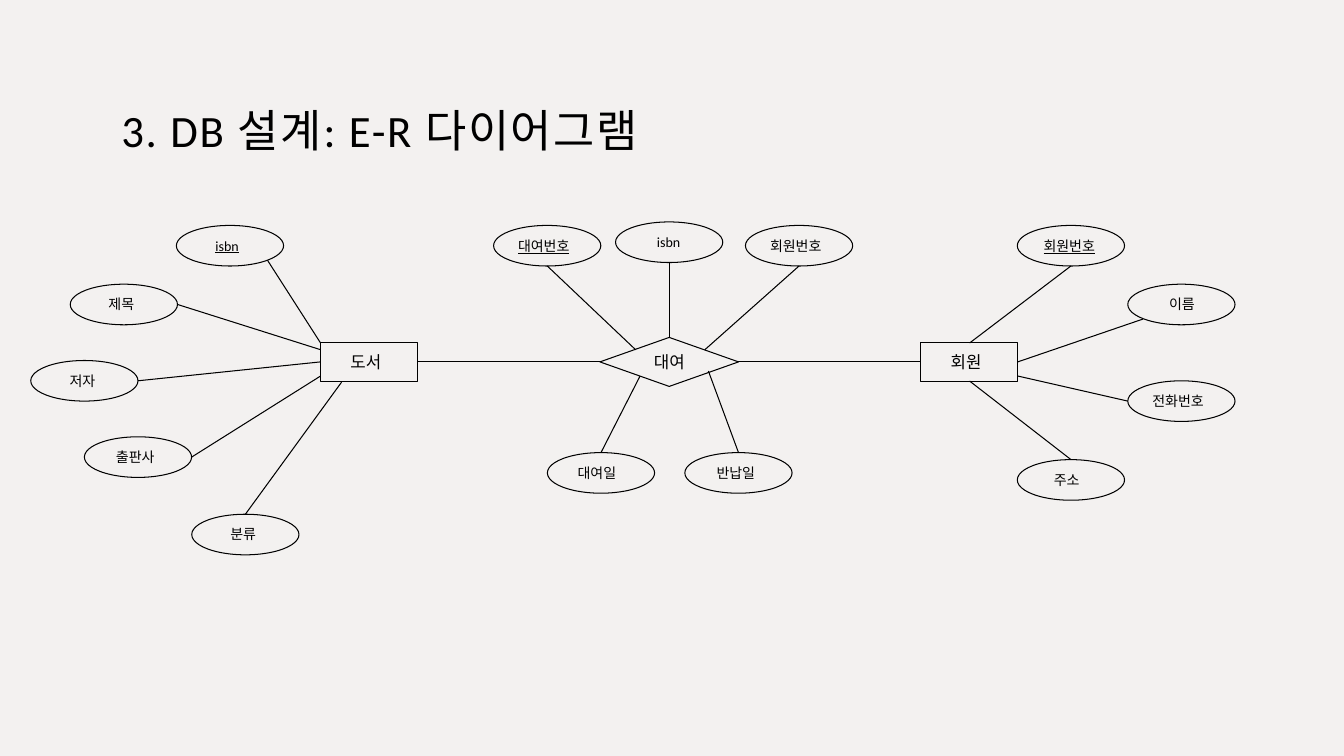
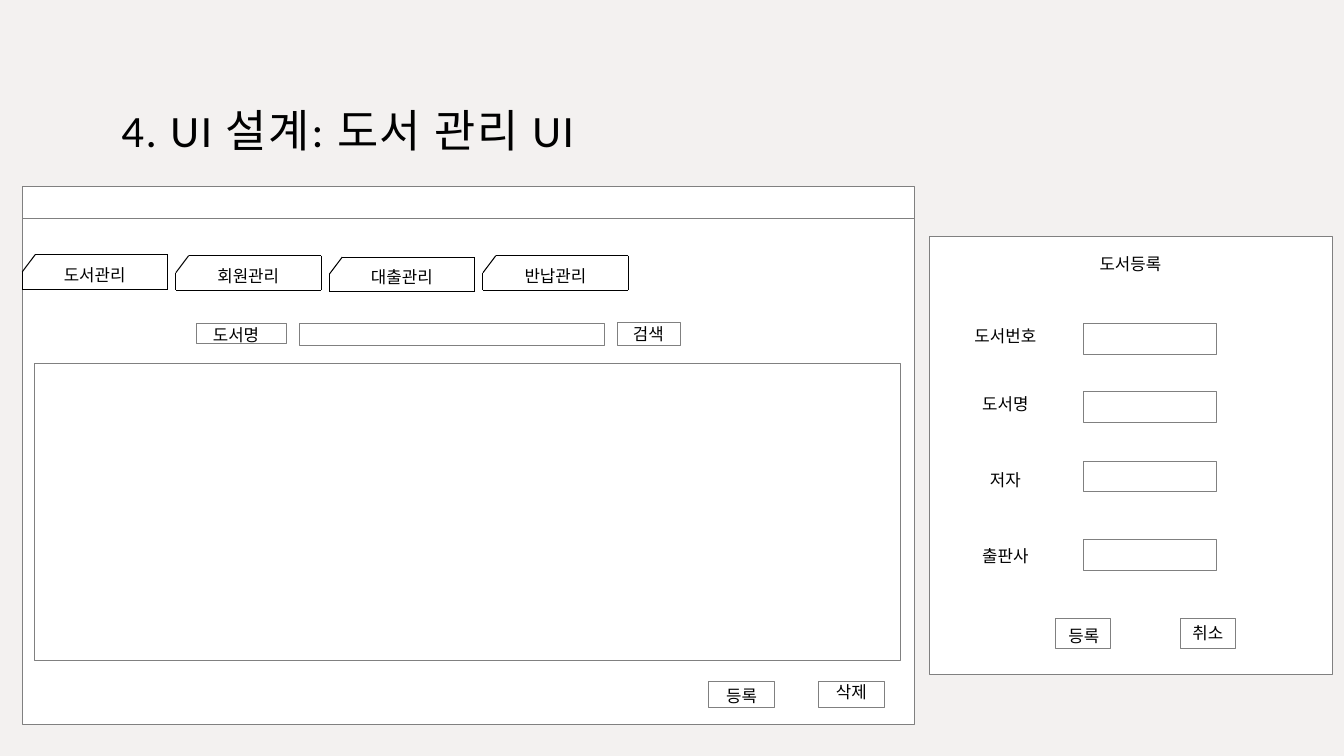
from lxml import etree
from pptx import Presentation
from pptx.dml.color import RGBColor
from pptx.enum.shapes import MSO_CONNECTOR, MSO_SHAPE
from pptx.enum.text import MSO_ANCHOR, MSO_AUTO_SIZE, PP_ALIGN
from pptx.oxml.ns import qn
from pptx.util import Pt

PAPER = RGBColor(0xF3, 0xF1, 0xF0)
WHITE = RGBColor(0xFF, 0xFF, 0xFF)
BLACK = RGBColor(0x00, 0x00, 0x00)
GRAY = RGBColor(0x80, 0x80, 0x80)

RECTANGLE = MSO_SHAPE.RECTANGLE
DIAMOND = MSO_SHAPE.DIAMOND
OVAL = MSO_SHAPE.OVAL
STRAIGHT = MSO_CONNECTOR.STRAIGHT
BOTTOM = MSO_ANCHOR.BOTTOM
GROW = MSO_AUTO_SIZE.SHAPE_TO_FIT_TEXT
LEFT = PP_ALIGN.LEFT
CENTER = PP_ALIGN.CENTER

FONT = "Calibri"
TITLE_FONT = {"name": FONT, "size": Pt(32), "bold": False}
TITLE_FRAME = {
    "vertical_anchor": BOTTOM,
    "margin_left": Pt(8.64),
    "margin_top": Pt(8.64),
    "margin_right": Pt(8.64),
    "margin_bottom": Pt(7.2),
}
TITLE_PLACE = {"left": Pt(78), "top": Pt(31), "width": Pt(804), "height": Pt(87.8)}
LABEL_HEIGHT = {10: 19.4, 12: 21.6}


def outline(item, color=BLACK, width=0.75, fill=None):
    """Give a shape or connector a plain line, no shadow and an optional fill."""
    item.line.color.rgb = color
    item.line.width = Pt(width)
    etree.SubElement(item._element.spPr, qn("a:effectLst"))
    if fill is not None:
        item.fill.solid()
        item.fill.fore_color.rgb = fill
    elif hasattr(item, "fill"):
        item.fill.background()


def add_label(shapes, text, left, top, width, size=12, align=LEFT, underline=None):
    """Add a one-line text box."""
    box = shapes.add_textbox(Pt(left), Pt(top), Pt(width), Pt(LABEL_HEIGHT[size]))
    box.text_frame.word_wrap = True
    box.text_frame.auto_size = GROW
    para = box.text_frame.paragraphs[0]
    para.alignment = align
    span = para.add_run()
    span.text = text
    span.font.color.rgb = BLACK
    formats = {"name": FONT, "size": Pt(size), "underline": underline}
    for name, value in formats.items():
        setattr(span.font, name, value)


deck = Presentation()
deck.slide_width = Pt(960)
deck.slide_height = Pt(540)
background = deck.slide_master.background.fill
background.solid()
background.fore_color.rgb = PAPER

# Pages and titles
pages = []
for heading in ("3. DB 설계: E-R 다이어그램", "4. UI 설계: 도서 관리 UI"):
    page = deck.slides.add_slide(deck.slide_layouts[5])
    title = page.shapes.title
    for name, value in TITLE_PLACE.items():
        setattr(title, name, value)
    for name, value in TITLE_FRAME.items():
        setattr(title.text_frame, name, value)
    para = title.text_frame.paragraphs[0]
    para.alignment = LEFT
    span = para.add_run()
    span.text = heading
    span.font.color.rgb = BLACK
    for name, value in TITLE_FONT.items():
        setattr(span.font, name, value)
    span.font._element.set("spc", "120")
    pages.append(page)
diagram_page, screen_page = pages

# E-R diagram: entities and the relationship between them
shapes = diagram_page.shapes
AXIS = 258.5
NODES = [
    ("도서", RECTANGLE, 228.8, 69.2, 27.4, 243.2),
    ("대여", DIAMOND, 428.5, 99, 35, 460),
    ("회원", RECTANGLE, 657.7, 69.2, 27.4, 672),
]
for text, kind, left, width, height, label_left in NODES:
    node = shapes.add_shape(
        kind, Pt(left), Pt(AXIS - height / 2), Pt(width), Pt(height))
    outline(node)
    add_label(shapes, text, label_left, AXIS - 10.8, 41)

for start, end in ((298, 428.5), (527.5, 657.7)):
    link = shapes.add_connector(STRAIGHT, Pt(start), Pt(AXIS), Pt(end), Pt(AXIS))
    outline(link)

# Attributes: text, is key, left, top, label inset, link start on the oval, link end
OVAL_WIDTH, OVAL_HEIGHT = 76.6, 29
ABOVE, BELOW, BEFORE, AFTER = (0.5, 0), (0.5, 1), (0, 0.5), (1, 0.5)
ATTRIBUTES = [
    ("isbn", True, 126, 161, 20.8, (0.85, 0.86), (229, 245)),
    ("제목", False, 50.2, 203, 20.2, AFTER, (229, 249.8)),
    ("저자", False, 22, 257.5, 20.7, AFTER, (229, 258.5)),
    ("출판사", False, 60.3, 312, 15.4, AFTER, (229, 268.6)),
    ("분류", False, 137, 367.3, 20.5, ABOVE, (244, 273)),
    ("대여번호", True, 352.6, 161, 10.4, BELOW, (454, 249.8)),
    ("isbn", False, 439.7, 158.5, 22.5, BELOW, (478, 241.2)),
    ("회원번호", False, 532.5, 161, 10.5, BELOW, (503.5, 249.8)),
    ("대여일", False, 391, 323.3, 14.5, ABOVE, (457.2, 268.6)),
    ("반납일", False, 489.2, 323.3, 15.5, ABOVE, (506, 265)),
    ("회원번호", True, 726.7, 161, 11.6, BELOW, (692.6, 245)),
    ("이름", False, 805.6, 203, 22.4, (0.14, 0.86), (727, 258.5)),
    ("전화번호", False, 805.6, 272, 10.5, BEFORE, (727, 268.6)),
    ("주소", False, 726.7, 328.3, 19, ABOVE, (692.6, 272.2)),
]
LABEL_WIDTHS = {2: 41, 3: 45.5, 4: 55.5}
for text, is_key, left, top, inset, (across, down), (end_x, end_y) in ATTRIBUTES:
    oval = shapes.add_shape(
        OVAL, Pt(left), Pt(top), Pt(OVAL_WIDTH), Pt(OVAL_HEIGHT))
    outline(oval)
    link = shapes.add_connector(
        STRAIGHT, Pt(left + across * OVAL_WIDTH), Pt(top + down * OVAL_HEIGHT),
        Pt(end_x), Pt(end_y))
    outline(link)
    width = 36 if text == "isbn" else LABEL_WIDTHS[len(text)]
    add_label(shapes, text, left + inset, top + 4.8, width, 10,
              underline=True if is_key else None)

# Book management window and registration form: frames
window = screen_page.shapes.add_group_shape().shapes
form = screen_page.shapes.add_group_shape().shapes
FIELD_TOPS = (231, 279.6, 329.4, 385.4)
FRAMES = [
    (window, 15.8, 133.2, 637.5, 384.5),
    (window, 24.5, 259.6, 618.8, 212),
    (window, 140.2, 230.8, 64.5, 14.6),
    (window, 213.8, 231, 218, 16),
    (window, 440.8, 230.2, 45.5, 16.6),
    (window, 506, 486.6, 47, 18.7),
    (window, 584.6, 486.6, 47, 18.7),
    (form, 663.8, 168.8, 288, 312.6),
    *[(form, 773.8, top, 95.2, 22) for top in FIELD_TOPS],
    (form, 753.8, 441.6, 39.6, 21.8),
    (form, 843, 441.6, 39.6, 21.8),
]
for shapes, left, top, width, height in FRAMES:
    frame = shapes.add_shape(RECTANGLE, Pt(left), Pt(top), Pt(width), Pt(height))
    outline(frame, GRAY, 0.5, WHITE)

title_bar = window.add_connector(STRAIGHT, Pt(15.8), Pt(156), Pt(653.3), Pt(156))
outline(title_bar, GRAY, 0.5)

# Tabs with a cut corner, one line for each side
TAB_WIDTH, TAB_HEIGHT, TAB_STEP = 103.8, 24.6, 109.7
CUT_WIDTH, CUT_HEIGHT = 9.2, 12.2
TABS = [("도서관리", 182), ("회원관리", 182.6), ("대출관리", 183.6), ("반납관리", 182.6)]
for index, (text, top) in enumerate(TABS):
    left = 15.9 + index * TAB_STEP
    right, bottom = left + TAB_WIDTH, top + TAB_HEIGHT
    corners = [(left + CUT_WIDTH, top), (right, top), (right, bottom),
               (left, bottom), (left, top + CUT_HEIGHT)]
    for (start_x, start_y), (end_x, end_y) in zip(corners, corners[1:] + corners[:1]):
        side = window.add_connector(
            STRAIGHT, Pt(start_x), Pt(start_y), Pt(end_x), Pt(end_y))
        outline(side)
    add_label(window, text, left + 15.4, top + 3.4, 72.7, align=CENTER)

# Captions of fields and buttons
FIELD_NAMES = [("도서번호", 229), ("도서명", 277.6), ("저자", 332), ("출판사", 386)]
CAPTIONS = [
    (window, "도서명", 145, 228.2, 55.4, LEFT),
    (window, "검색", 445, 227.5, 39.6, LEFT),
    (window, "등록", 506.3, 486.6, 47, CENTER),
    (window, "삭제", 584.6, 483.4, 47, CENTER),
    (form, "도서등록", 771.8, 177.8, 71.3, CENTER),
    *[(form, text, 682.5, top, 71.3, CENTER) for text, top in FIELD_NAMES],
    (form, "등록", 754.4, 443.5, 39.6, CENTER),
    (form, "취소", 843, 441.4, 39.6, CENTER),
]
for shapes, text, left, top, width, align in CAPTIONS:
    add_label(shapes, text, left, top, width, align=align)

deck.save("out.pptx")
